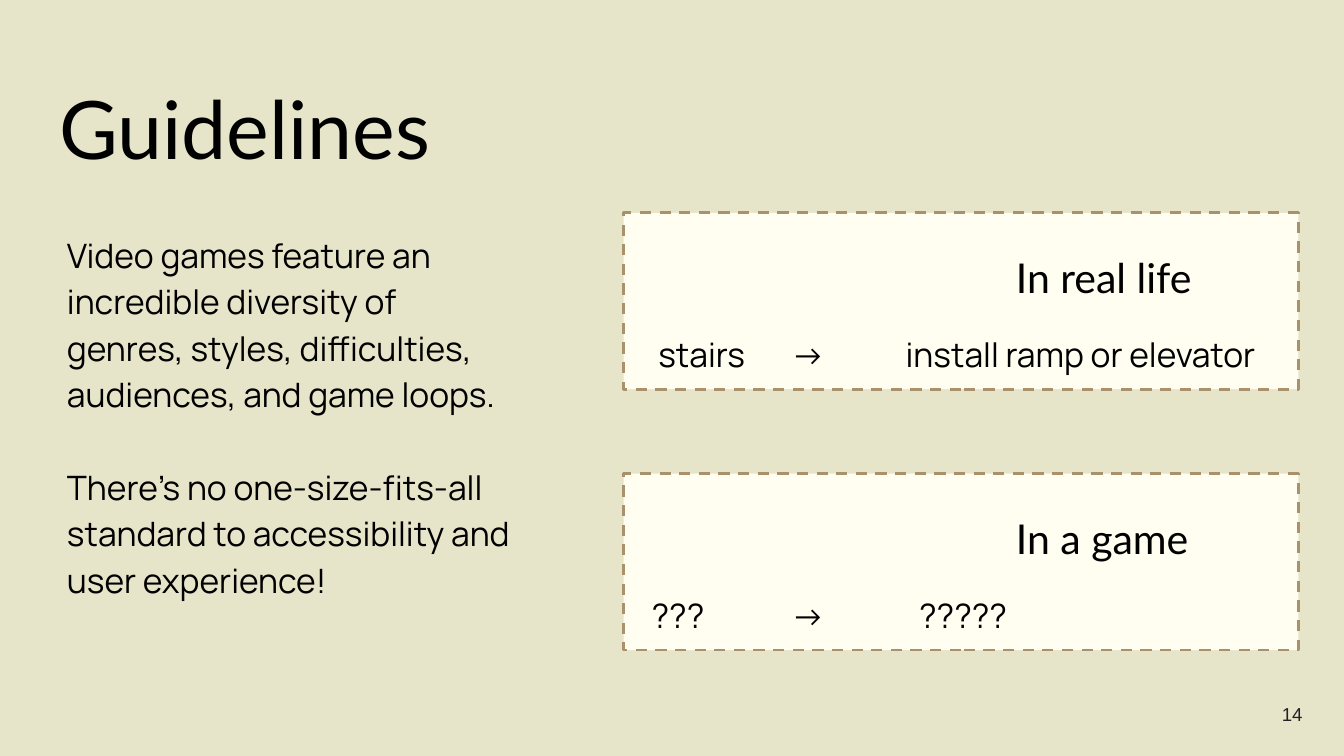
"""Build the Guidelines slide comparing accessibility in real life and in a game."""
import pptx
import pptx.dml.color
import pptx.enum.dml
import pptx.enum.shapes
import pptx.enum.text
import pptx.util
from lxml import etree
from pptx.oxml.ns import qn

WIDTH = pptx.util.Inches(10)
HEIGHT = WIDTH * 9 // 16
ALIGN = pptx.enum.text.PP_ALIGN
ANCHOR = pptx.enum.text.MSO_ANCHOR

CARD_TOP = 28.15
CARD_PITCH = 34.5
CARDS = [
    ("In real life", ("stairs", "→", "install ramp or elevator"), (0.16, 1.15, 2)),
    ("In a game", ("???", "→", "?????"), (0.11, 1.15, 2.1)),
]
BODY = [
    "Video games feature an incredible diversity of genres, styles, "
    "difficulties, audiences, and game loops.",
    "There’s no one-size-fits-all standard to accessibility and user experience!",
]


def color(hex_code):
    return pptx.dml.color.RGBColor.from_string(hex_code)


def area(left, top, width, height):
    """Turn percentages of the slide's size into lengths."""
    return [int(share * side / 100) for share, side in
            zip((left, top, width, height), (WIDTH, HEIGHT, WIDTH, HEIGHT))]


def prepare_frame(frame, anchor=ANCHOR.TOP):
    frame.word_wrap = True
    frame.auto_size = pptx.enum.text.MSO_AUTO_SIZE.NONE
    frame.vertical_anchor = anchor
    frame.margin_left = frame.margin_right = pptx.util.Inches(0.1)
    frame.margin_top = frame.margin_bottom = pptx.util.Inches(0.1)
    return frame


def write(paragraph, text, font="Manrope", size=18, ink="000000", align=ALIGN.LEFT,
          spacing=1.0, before=0, after=0, indent=0, tabs=()):
    properties = paragraph._p.get_or_add_pPr()
    if indent:
        properties.set("marL", str(pptx.util.Inches(indent)))
    if tabs:
        stops = etree.SubElement(properties, qn("a:tabLst"))
        for tab in tabs:
            etree.SubElement(stops, qn("a:tab"),
                             pos=str(pptx.util.Inches(tab)), algn="l")
    paragraph.alignment = align
    paragraph.line_spacing = spacing
    paragraph.space_before = pptx.util.Pt(before)
    paragraph.space_after = pptx.util.Pt(after)
    run = paragraph.add_run()
    run.text = text
    run.font.name = font
    run.font.size = pptx.util.Pt(size)
    run.font.color.rgb = color(ink)


def add_title(slide, text):
    title = slide.shapes.title
    title.left, title.top, title.width, title.height = area(3.4, 8.7, 93.2, 11.2)
    write(prepare_frame(title.text_frame).paragraphs[0], text, font="Lato", size=43.2)


def add_text(slide, box, texts, gap=0, **style):
    frame = prepare_frame(slide.shapes.add_textbox(*area(*box)).text_frame)
    for index, text in enumerate(texts):
        paragraph = frame.add_paragraph() if index else frame.paragraphs[0]
        write(paragraph, text, before=gap if index else 0, **style)


def add_card(slide, top, heading, steps, stops):
    card = slide.shapes.add_shape(pptx.enum.shapes.MSO_SHAPE.RECTANGLE,
                                  *area(46.4, top, 50.2, 23.35))
    card.shadow.inherit = False
    card.fill.solid()
    card.fill.fore_color.rgb = color("FFFEF1")
    card.line.color.rgb = color("A9916C")
    card.line.width = pptx.util.Pt(1.5)
    card.line.dash_style = pptx.enum.dml.MSO_LINE.DASH
    frame = prepare_frame(card.text_frame, ANCHOR.MIDDLE)
    write(frame.paragraphs[0], heading, font="Lato", size=22, spacing=1.5, indent=2.82)
    write(frame.add_paragraph(), "".join("\t" + step for step in steps),
          spacing=1.15, before=14, after=12, tabs=stops)


def main():
    deck = pptx.Presentation()
    deck.slide_width, deck.slide_height = WIDTH, HEIGHT
    slide = deck.slides.add_slide(deck.slide_layouts.get_by_name("Title Only"))
    slide.background.fill.solid()
    slide.background.fill.fore_color.rgb = color("E6E5CA")
    add_title(slide, "Guidelines")
    for row, (heading, steps, stops) in enumerate(CARDS):
        add_card(slide, CARD_TOP + row * CARD_PITCH, heading, steps, stops)
    add_text(slide, (4, 28.5, 35.5, 62.75), BODY, gap=25, spacing=1.15)
    add_text(slide, (94.1, 91.2, 4.1, 6.4), ["14"], font="Arial", size=10,
             ink="212121", align=ALIGN.CENTER)
    deck.save("out.pptx")


if __name__ == "__main__":
    main()
